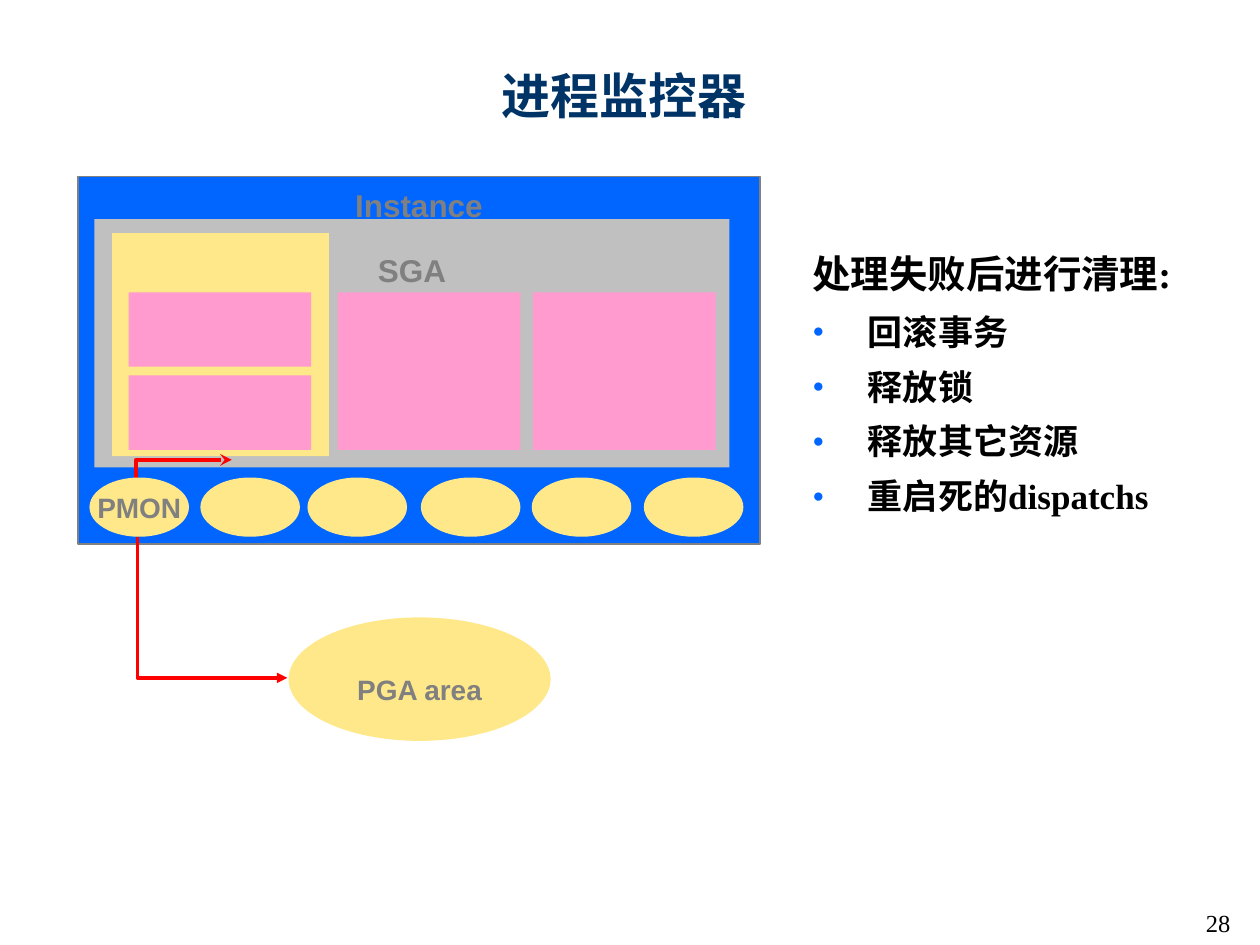
from dataclasses import dataclass
from typing import Optional

from lxml import etree
from pptx import Presentation
from pptx.dml.color import RGBColor
from pptx.enum.shapes import MSO_SHAPE
from pptx.enum.text import MSO_ANCHOR, PP_ALIGN
from pptx.oxml import parse_xml
from pptx.oxml.ns import nsdecls, qn
from pptx.util import Inches, Pt

RECTANGLE, OVAL = MSO_SHAPE.RECTANGLE, MSO_SHAPE.OVAL
TOP, MIDDLE = MSO_ANCHOR.TOP, MSO_ANCHOR.MIDDLE
LEFT, CENTER, JUSTIFY = PP_ALIGN.LEFT, PP_ALIGN.CENTER, PP_ALIGN.JUSTIFY

SANS, SERIF = "Arial", "Times New Roman"
BLUE, GRAY, SILVER = "0066FF", "808080", "C0C0C0"
PINK, YELLOW, RED = "FF9BCE", "FFE88A", "FF0000"
NAVY, BLACK = "003366", "000000"


@dataclass
class Label:
    text: str
    size: float
    color: str = GRAY
    font: str = SANS
    bold: bool = True
    align: int = CENTER


@dataclass
class Block:
    left: float
    top: float
    width: float
    height: float
    fill: str
    kind: int = RECTANGLE
    outline: Optional[str] = None
    label: Optional[Label] = None
    anchor: int = MIDDLE
    inset_top: float = 0


@dataclass
class Arrow:
    points: list[tuple[float, float]]
    weight: float
    head: str


def rgb(value: str) -> RGBColor:
    return RGBColor.from_string(value)


def add_span(para, label: Label):
    para.alignment = label.align
    span = para.add_run()
    span.text = label.text
    span.font.name = label.font
    span.font.size = Pt(label.size)
    span.font.bold = label.bold
    span.font.color.rgb = rgb(label.color)
    return span


def prepare_frame(frame, anchor: int, side: float, top: float, wrap: bool) -> None:
    frame.word_wrap = wrap
    frame.vertical_anchor = anchor
    frame.margin_left = frame.margin_right = Inches(side)
    frame.margin_top = Inches(top)
    frame.margin_bottom = 0


def add_block(slide, block: Block) -> None:
    shape = slide.shapes.add_shape(
        block.kind, Inches(block.left), Inches(block.top),
        Inches(block.width), Inches(block.height))
    shape.shadow.inherit = False
    shape.fill.solid()
    shape.fill.fore_color.rgb = rgb(block.fill)
    if block.outline:
        shape.line.color.rgb = rgb(block.outline)
        shape.line.width = Pt(1)
    else:
        shape.line.fill.background()
    if block.label:
        prepare_frame(shape.text_frame, block.anchor, 0, block.inset_top, False)
        add_span(shape.text_frame.paragraphs[0], block.label)


def add_arrow(slide, arrow: Arrow) -> None:
    points = [(Inches(x), Inches(y)) for x, y in arrow.points]
    builder = slide.shapes.build_freeform(*points[0], scale=1.0)
    builder.add_line_segments(points[1:], close=False)
    shape = builder.convert_to_shape()
    shape.shadow.inherit = False
    shape.fill.background()
    shape.line.color.rgb = rgb(RED)
    shape.line.width = Pt(arrow.weight)
    line = shape.line._get_or_add_ln()
    etree.SubElement(line, qn("a:round"))
    etree.SubElement(line, qn("a:tailEnd"), type=arrow.head)


def add_box(slide, left: float, top: float, width: float, height: float,
            anchor: int, side: float, inset_top: float):
    box = slide.shapes.add_textbox(
        Inches(left), Inches(top), Inches(width), Inches(height))
    prepare_frame(box.text_frame, anchor, side, inset_top, True)
    return box.text_frame


def add_title(slide) -> None:
    frame = add_box(slide, 0.9, 0.27, 8.1, 0.96, MIDDLE, 0.1, 0)
    span = add_span(frame.paragraphs[0], Label("进程监控器", 28, NAVY))
    shadow = parse_xml(
        f'<a:effectLst {nsdecls("a")}><a:outerShdw dist="17961" dir="2700000">'
        '<a:srgbClr val="C0C0C0"/></a:outerShdw></a:effectLst>')
    span.font._element.find(qn("a:solidFill")).addnext(shadow)


def set_bullet(para) -> None:
    properties = para._p.get_or_add_pPr()
    color = etree.SubElement(properties, qn("a:buClr"))
    etree.SubElement(color, qn("a:srgbClr"), val=BLUE)
    etree.SubElement(properties, qn("a:buSzPct"), val="55000")
    etree.SubElement(properties, qn("a:buFont"), typeface=SERIF)
    etree.SubElement(properties, qn("a:buChar"), char="●")


def add_cleanup_list(slide) -> None:
    frame = add_box(slide, 6.35, 1.98, 3.21, 2.35, TOP, 0.1, 0.05)
    heading = frame.paragraphs[0]
    heading.line_spacing = 0.9
    add_span(heading, Label("处理失败后进行清理:", 22, BLACK, SERIF, align=JUSTIFY))
    for text in ("回滚事务", "释放锁", "释放其它资源", "重启死的dispatchs"):
        para = frame.add_paragraph()
        para.line_spacing = 1.1
        para.space_before = Pt(5)
        properties = para._p.get_or_add_pPr()
        properties.set("marL", str(Inches(0.44)))
        properties.set("indent", str(-Inches(0.44)))
        set_bullet(para)
        add_span(para, Label(text, 20, BLACK, SERIF, align=JUSTIFY))


def process(left: float, label: Optional[Label] = None) -> Block:
    return Block(left, 3.79, 0.79, 0.47, YELLOW, OVAL, label=label)


def main() -> None:
    deck = Presentation()
    deck.slide_width, deck.slide_height = Inches(10), Inches(7.5)
    slide = deck.slides.add_slide(deck.slide_layouts[6])

    number = add_box(slide, 9.57, 7.21, 0.33, 0.23, TOP, 0, 0)
    add_span(number.paragraphs[0], Label("28", 14, BLACK, SERIF, False, LEFT))

    memory = [
        Block(0.62, 1.4, 5.41, 2.92, BLUE, outline=GRAY,
              label=Label("Instance", 18), anchor=TOP, inset_top=0.08),
        Block(0.75, 1.74, 5.04, 1.97, SILVER,
              label=Label("SGA", 18), anchor=TOP, inset_top=0.25),
        Block(0.89, 1.85, 1.72, 1.77, YELLOW),
    ]
    memory += [Block(left, 2.32, 1.45, 1.25, PINK) for left in (2.68, 4.23)]
    memory += [Block(1.02, top, 1.45, 0.59, PINK) for top in (2.32, 2.98)]
    processes = [process(left) for left in (1.59, 2.44, 3.34, 4.22, 5.11)]
    for block in memory + processes:
        add_block(slide, block)

    add_arrow(slide, Arrow([(1.08, 4.05), (1.08, 3.65), (1.84, 3.65)], 2.25, "stealth"))
    add_block(slide, process(0.71, Label("PMON", 16)))
    add_title(slide)
    add_cleanup_list(slide)
    add_block(slide, Block(2.29, 4.9, 2.08, 0.98, YELLOW, OVAL,
                           label=Label("PGA area", 16), inset_top=0.16))
    add_arrow(slide, Arrow([(1.09, 4.26), (1.09, 5.38), (2.28, 5.38)], 2, "triangle"))

    deck.save("out.pptx")


if __name__ == "__main__":
    main()
